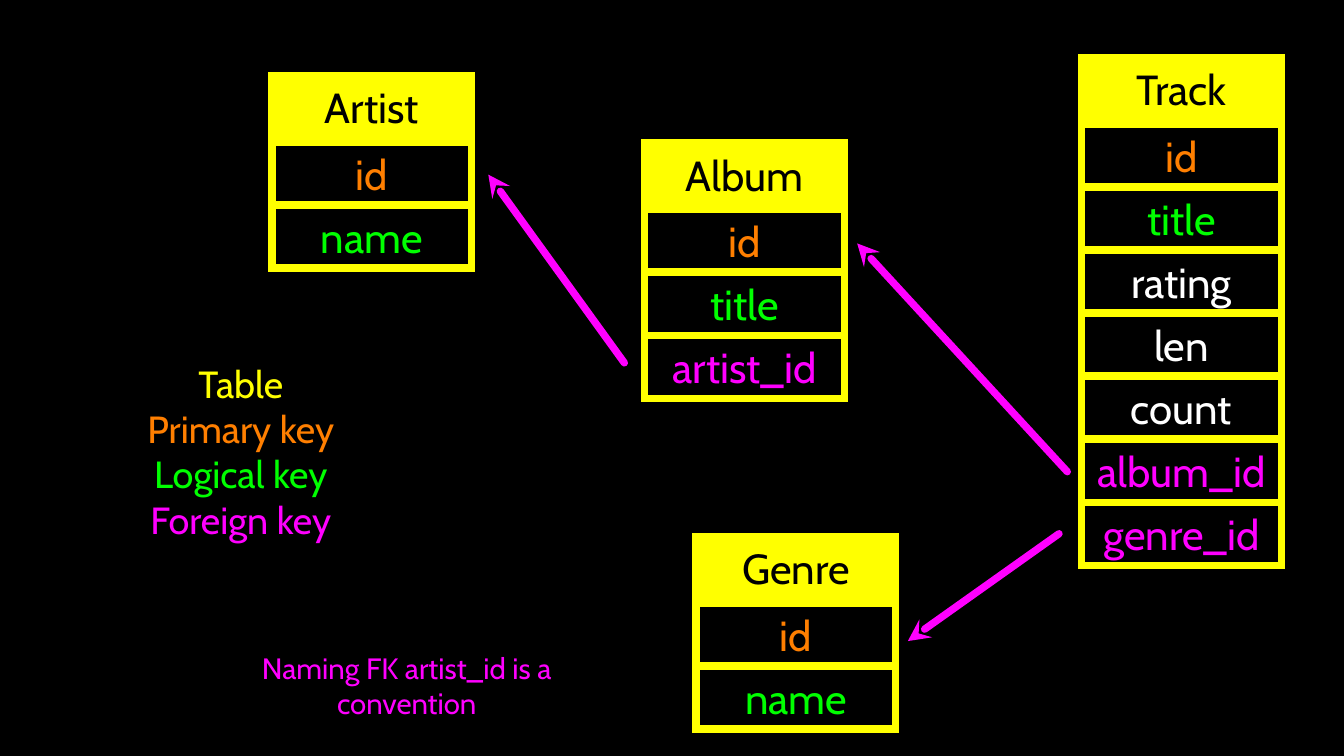
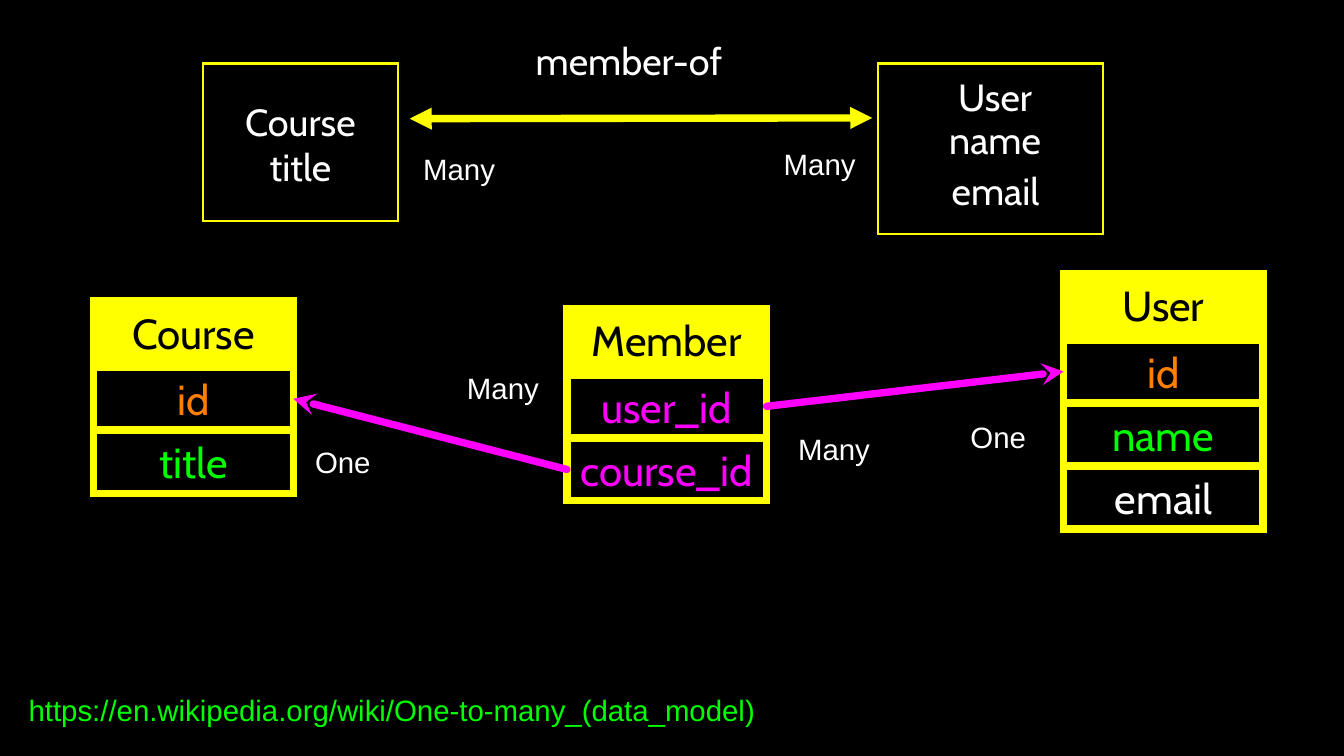
from lxml import etree
from pptx import Presentation
from pptx.dml.color import RGBColor
from pptx.enum.shapes import MSO_CONNECTOR, MSO_SHAPE
from pptx.enum.text import MSO_ANCHOR, MSO_AUTO_SIZE, PP_ALIGN
from pptx.oxml.ns import qn
from pptx.util import Inches, Pt

RECT = MSO_SHAPE.RECTANGLE
LINE = MSO_CONNECTOR.STRAIGHT
MIDDLE, CENTER = MSO_ANCHOR.MIDDLE, PP_ALIGN.CENTER
FIT = MSO_AUTO_SIZE.SHAPE_TO_FIT_TEXT
LEFT_SIDE, RIGHT_SIDE = 1, 3

BLACK = RGBColor(0, 0, 0)
WHITE = RGBColor(255, 255, 255)
YELLOW = RGBColor(255, 255, 0)
ORANGE = RGBColor(255, 127, 0)
GREEN = RGBColor(0, 255, 0)
PINK = RGBColor(255, 0, 255)

# Kinds of field: primary, logical and foreign key, plain value
KINDS = {"P": ORANGE, "L": GREEN, "F": PINK, "V": WHITE}
HEAD_FONT, BODY_FONT = "Cabin", "Arial"

# Table grid in inches: cell size, header step, row step, border in points
CELL_W, CELL_H = 2.64, 0.83
HEAD_STEP, ROW_STEP = 0.88, 0.835
BORDER = 7

# Content: table name, left, top, fields as (kind, name)
MUSIC = [
    ("Album", 8.53, 1.89, [("P", "id"), ("L", "title"), ("F", "artist_id")]),
    ("Track", 14.31, 0.76, [
        ("P", "id"), ("L", "title"), ("V", "rating"), ("V", "len"),
        ("V", "count"), ("F", "album_id"), ("F", "genre_id")]),
    ("Artist", 3.6, 1, [("P", "id"), ("L", "name")]),
    ("Genre", 9.21, 7.1, [("P", "id"), ("L", "name")]),
]
# Arrow tip, then arrow start
MUSIC_LINKS = [
    ((11.34, 3.22), (14.12, 6.24)),
    ((12.01, 8.48), (14.01, 7.06)),
    ((6.46, 2.31), (8.26, 4.8)),
]
LEGEND = [("Table", YELLOW), ("Primary key", ORANGE),
          ("Logical key", GREEN), ("Foreign key", PINK)]
NOTE = [("Naming FK artist_id is a convention", PINK)]

SCHOOL = [
    ("Member", 7.5, 4.08, [("F", "user_id"), ("F", "course_id")]),
    ("User", 14.07, 3.62, [("P", "id"), ("L", "name"), ("V", "email")]),
    ("Course", 1.24, 3.98, [("P", "id"), ("L", "title")]),
]
# Pointed-at field and side, then pointing field and side
SCHOOL_LINKS = [
    (("Course", "id", RIGHT_SIDE), ("Member", "course_id", LEFT_SIDE)),
    (("User", "id", LEFT_SIDE), ("Member", "user_id", RIGHT_SIDE)),
]
FRAMES = [(11.62, 0.84, 2.97, 2.25), (2.69, 0.84, 2.57, 2.08)]
MODEL = [
    (["Course", "title"], (3.11, 1.28, 1.73, 1.24)),
    (["member-of"], (6.93, 0.46, 2.78, 0.68)),
    (["User"], (12.41, 0.93, 1.51, 0.68)),
    (["name"], (12.5, 1.51, 1.33, 0.68)),
    (["email"], (12.29, 2.18, 1.76, 0.68)),
]
MANY_W, ONE_W, URL_W, LABEL_H = 1.16, 0.94, 9.91, 0.57
LABELS = [
    ("Many", 10.46, 5.65, MANY_W, WHITE),
    ("One", 12.74, 5.5, ONE_W, WHITE),
    ("Many", 10.27, 1.89, MANY_W, WHITE),
    ("Many", 5.5, 1.95, MANY_W, WHITE),
    ("One", 4.07, 5.83, ONE_W, WHITE),
    ("Many", 6.08, 4.85, MANY_W, WHITE),
    ("https://en.wikipedia.org/wiki/One-to-many_(data_model)",
     0.28, 9.11, URL_W, GREEN),
]


def inches(box):
    return [Inches(n) for n in box]


def add_run(para, text, size, font, color):
    run = para.add_run()
    run.text = text
    run.font.size = Pt(size)
    run.font.name = font
    run.font.color.rgb = color


def write(shape, lines, size):
    """Centre the (text, colour) lines in a shape without insets."""
    frame = shape.text_frame
    frame.word_wrap = True
    frame.vertical_anchor = MIDDLE
    frame.margin_left = frame.margin_right = 0
    frame.margin_top = frame.margin_bottom = 0
    for i, (text, color) in enumerate(lines):
        para = frame.add_paragraph() if i else frame.paragraphs[0]
        para.alignment = CENTER
        add_run(para, text, size, HEAD_FONT, color)


def add_text(slide, lines, box, size):
    write(slide.shapes.add_textbox(*inches(box)), lines, size)


def add_rect(slide, box, width, fill=None):
    rect = slide.shapes.add_shape(RECT, *inches(box))
    rect.shadow.inherit = False
    if fill is None:
        rect.fill.background()
    else:
        rect.fill.solid()
        rect.fill.fore_color.rgb = fill
    rect.line.color.rgb = YELLOW
    rect.line.width = Pt(width)
    ln = rect.line._get_or_add_ln()
    etree.SubElement(ln, qn("a:miter"), lim="800000")
    return rect


def add_table_box(slide, name, left, top, fields):
    """Stack a header and its fields; return the field cells by name."""
    head = add_rect(slide, (left, top, CELL_W, CELL_H), BORDER, YELLOW)
    write(head, [(name, BLACK)], 40)
    cells = {}
    for i, (kind, field) in enumerate(fields):
        y = top + HEAD_STEP + i * ROW_STEP
        cell = add_rect(slide, (left, y, CELL_W, CELL_H), BORDER)
        write(cell, [(field, KINDS[kind])], 40)
        cells[name, field] = cell
    return cells


def add_arrow(slide, tip, start, color=PINK, ends=("headEnd",),
              mark="stealth", cap="rnd"):
    link = slide.shapes.add_connector(LINE, *inches(tip + start))
    link.line.color.rgb = color
    link.line.width = Pt(BORDER)
    ln = link.line._get_or_add_ln()
    ln.set("cap", cap)
    for end in ends:
        etree.SubElement(ln, qn("a:" + end), type=mark)
    etree.SubElement(link._element.spPr, qn("a:effectLst"))
    return link


def add_label(slide, text, left, top, width, color):
    box = slide.shapes.add_textbox(*inches((left, top, width, LABEL_H)))
    frame = box.text_frame
    frame.word_wrap = False
    frame.auto_size = FIT
    add_run(frame.paragraphs[0], text, 28, BODY_FONT, color)


def new_slide(deck):
    slide = deck.slides.add_slide(deck.slide_layouts[6])
    slide.background.fill.solid()
    slide.background.fill.fore_color.rgb = BLACK
    return slide


def music_slide(deck):
    slide = new_slide(deck)
    for table in MUSIC:
        add_table_box(slide, *table)
    for tip, start in MUSIC_LINKS:
        add_arrow(slide, tip, start)
    add_text(slide, LEGEND, (1.24, 4.77, 3.89, 2.39), 36)
    add_text(slide, NOTE, (2.94, 8.56, 4.88, 1), 28)


def school_slide(deck):
    slide = new_slide(deck)
    # Conceptual model
    for box in FRAMES:
        add_rect(slide, box, 2)
    for lines, box in MODEL:
        add_text(slide, [(line, WHITE) for line in lines], box, 36)
    add_arrow(slide, (5.42, 1.57), (11.54, 1.56), YELLOW,
              ("headEnd", "tailEnd"), "triangle", "flat")
    # Tables, joined field to field
    cells = {}
    for table in SCHOOL:
        cells.update(add_table_box(slide, *table))
    for (*key, side), (*other, far) in SCHOOL_LINKS:
        link = add_arrow(slide, (0, 0), (1, 1))
        link.begin_connect(cells[tuple(key)], side)
        link.end_connect(cells[tuple(other)], far)
    for label in LABELS:
        add_label(slide, *label)


def main():
    deck = Presentation()
    deck.slide_width, deck.slide_height = Inches(17.78), Inches(10)
    music_slide(deck)
    school_slide(deck)
    deck.save("out.pptx")


if __name__ == "__main__":
    main()
